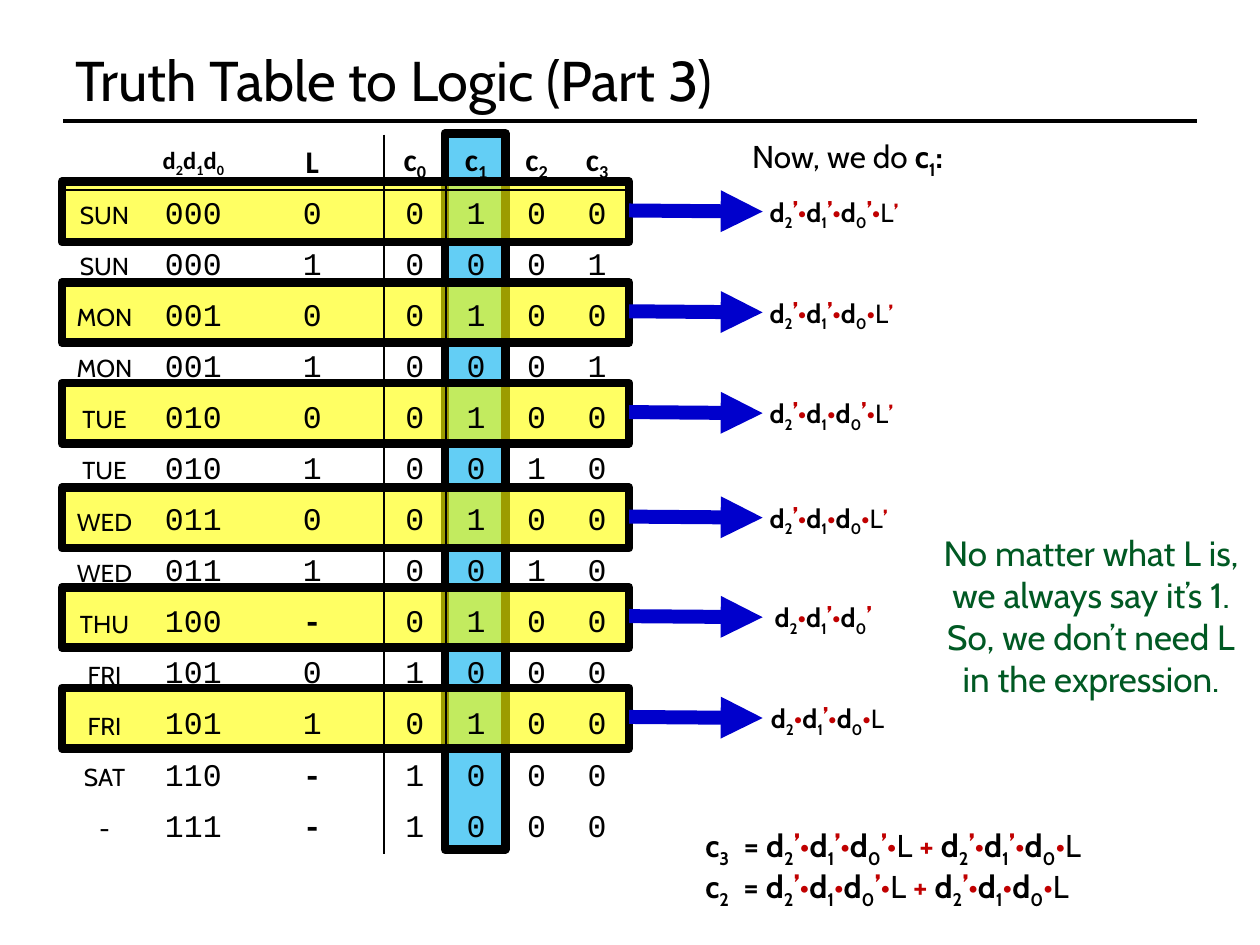
from itertools import groupby

from lxml import etree
from pptx import Presentation
from pptx.dml.color import RGBColor
from pptx.enum import shapes, text
from pptx.oxml import ns
from pptx.util import Pt

COLORS = {"ink": "000000", "mark": "C00000", "arrow": "0000CC", "note": "005923",
          "column": "00B0F0", "row": "FFFF00"}


def add_xml(parent, tag, **attributes):
    return etree.SubElement(parent, ns.qn(tag), attributes)


def write(paragraph, content, size, font="Cabin", mark_size=None):
    """Write logic notation: digits as subscripts, operators in red, L light; without mark_size, plain text."""
    def kind(char):
        if mark_size is None:
            return "plain"
        return "sub" if char.isdigit() else {"L": "plain", "•": "dot", "’": "mark", "+": "mark"}.get(char, "bold")

    previous = ""
    for style, chars in groupby(content, kind):
        run = paragraph.add_run()
        run.text = "".join(chars)
        is_mark = style in ("mark", "dot")
        run_size = mark_size if is_mark else size
        if previous == "L" and run.text == "’" and mark_size != size:
            run_size = 14
        formats = {"name": font, "size": Pt(run_size), "bold": style not in ("plain", "dot")}
        for name, value in formats.items():
            setattr(run.font, name, value)
        run.font.color.rgb = RGBColor.from_string(COLORS["mark" if is_mark else "ink"])
        if style == "sub":
            run.font._element.set("baseline", "-25000")
        previous = run.text


prs = Presentation()
prs.slide_width, prs.slide_height = Pt(720), Pt(540)
slide = prs.slides.add_slide(prs.slide_layouts[1])
title, intro = slide.placeholders

# Title and introduction
for holder, box in ((title, (36, 21.6, 648, 47.5)), (intro, (422.6, 74.9, 297.4, 30.2))):
    holder.left, holder.top, holder.width, holder.height = map(Pt, box)
    holder.text_frame.auto_size = text.MSO_AUTO_SIZE.NONE
    holder.text_frame.paragraphs[0].alignment = text.PP_ALIGN.LEFT
title.text_frame.vertical_anchor = text.MSO_ANCHOR.MIDDLE
write(title.text_frame.paragraphs[0], "Truth Table to Logic (Part 3)", 32)
sentence = intro.text_frame.paragraphs[0]
sentence.space_before = Pt(3.6)
bullet = sentence._p.get_or_add_pPr()
bullet.set("marL", "0")
bullet.set("indent", "0")
add_xml(bullet, "a:buNone")
write(sentence, "Now, we do ", 18)
write(sentence, "c1:", 18, mark_size=18)

# Highlights: the c1 column, then each row where c1 is 1
row_tops = [103.7, 161.3, 218.9, 278.6, 335.5, 393.1]
highlights = [("column", (67, 263.5, 409, 34.6), 90)]
highlights += [("row", (35.5, top, 324, 34.6), 0) for top in row_tops]
for color, box, rotation in highlights:
    band = slide.shapes.add_shape(shapes.MSO_SHAPE.RECTANGLE, *map(Pt, box))
    band.rotation = rotation
    band.shadow.inherit = False
    band.fill.solid()
    band.fill.fore_color.rgb = RGBColor.from_string(COLORS[color])
    add_xml(band.fill._xPr.find(".//" + ns.qn("a:srgbClr")), "a:alpha", val="61000")
    band.line.width = Pt(5)
    band.line.color.rgb = RGBColor.from_string(COLORS["ink"])
    add_xml(band.line._ln, "a:round")

# Title rule and row arrows
lines = [((36, 69.1, 684, 69.1), "ink", 2)]
lines += [((359.5, top + 16.6, 435.8, top + 17.2), "arrow", 8) for top in row_tops]
for ends, color, width in lines:
    line = slide.shapes.add_connector(shapes.MSO_CONNECTOR.STRAIGHT, *map(Pt, ends))
    line.line.width = Pt(width)
    line.line.color.rgb = RGBColor.from_string(COLORS[color])
    if color == "arrow":
        add_xml(line.line._ln, "a:tailEnd", type="triangle")
    add_xml(line._element.spPr, "a:effectLst")

# Truth table
header = ["", "d2d1d0", "L", "c0", "c1", "c2", "c3"]
truth_rows = """SUN 000 0 0 1 0 0
SUN 000 1 0 0 0 1
MON 001 0 0 1 0 0
MON 001 1 0 0 0 1
TUE 010 0 0 1 0 0
TUE 010 1 0 0 1 0
WED 011 0 0 1 0 0
WED 011 1 0 0 1 0
THU 100 - 0 1 0 0
FRI 101 0 1 0 0 0
FRI 101 1 0 1 0 0
SAT 110 - 1 0 0 0
- 111 - 1 0 0 0"""
rows = [header] + [row.split() for row in truth_rows.splitlines()]
table = slide.shapes.add_table(len(rows), len(header), Pt(36), Pt(77), Pt(323), Pt(409)).table
table.first_row = table.horz_banding = False
table._tbl.tblPr.find(ns.qn("a:tableStyleId")).text = "{2D5ABB26-0587-4C30-8999-92F81FD0307C}"
for column, width in zip(table.columns, [47.5, 54, 82, 35.3, 34.6, 34.6, 34.6]):
    column.width = Pt(width)
for row in table.rows:
    row.height = Pt(29.2)

for r, values in enumerate(rows):
    for c, value in enumerate(values):
        cell = table.cell(r, c)
        cell.vertical_anchor = text.MSO_ANCHOR.MIDDLE
        cell.margin_left = cell.margin_right = Pt(3.6)
        borders = {"a:lnL": c == 3, "a:lnR": c == 2, "a:lnT": r == 1, "a:lnB": r == 0}
        for side, visible in borders.items():
            if visible:
                edge = add_xml(cell._tc.get_or_add_tcPr(), side, w=str(Pt(1)))
                add_xml(add_xml(edge, "a:solidFill"), "a:srgbClr", val=COLORS["ink"])
        cell.fill.background()
        label = cell.text_frame.paragraphs[0]
        label.alignment = text.PP_ALIGN.CENTER
        if r == 0:
            write(label, value, 14 if c == 1 else 18, "Calibri", mark_size=18)
            for run in label.runs:
                run.font.bold = True
        elif c == 0:
            write(label, value, 14)
        else:
            write(label, value, 18, "Courier New")
            label.runs[0].font.bold = value == "-"

# Product terms beside the arrows, and the finished sums
terms = [(432.7, "d2’•d1’•d0’•L’"), (432.7, "d2’•d1’•d0•L’"), (432.7, "d2’•d1•d0’•L’"),
         (432.7, "d2’•d1•d0•L’"), (435.6, "d2•d1’•d0’"), (433.4, "d2•d1’•d0•L")]
expressions = [(left, top + 3.8, term, 15, 16) for (left, term), top in zip(terms, row_tops)]
expressions += [(396, 468.7, "c3  = d2’•d1’•d0’•L + d2’•d1’•d0•L", 18, 18),
                (396, 491.8, "c2  = d2’•d1•d0’•L + d2’•d1•d0•L", 18, 18)]
for left, top, expression, size, mark_size in expressions:
    box = slide.shapes.add_textbox(Pt(left), Pt(top), Pt(287), Pt(26))
    box.text_frame.word_wrap = True
    box.text_frame.paragraphs[0].space_before = Pt(size * 0.2)
    write(box.text_frame.paragraphs[0], expression, size, mark_size=mark_size)

# Remark on the THU row
remark = slide.shapes.add_textbox(Pt(527), Pt(300.2), Pt(193), Pt(104.4)).text_frame
remark.word_wrap = True
remark.paragraphs[0].alignment = text.PP_ALIGN.CENTER
write(remark.paragraphs[0],
      "No matter what L is, we always say it’s 1. So, we don’t need L in the expression.", 20)
remark.paragraphs[0].runs[0].font.color.rgb = RGBColor.from_string(COLORS["note"])

prs.save("out.pptx")
